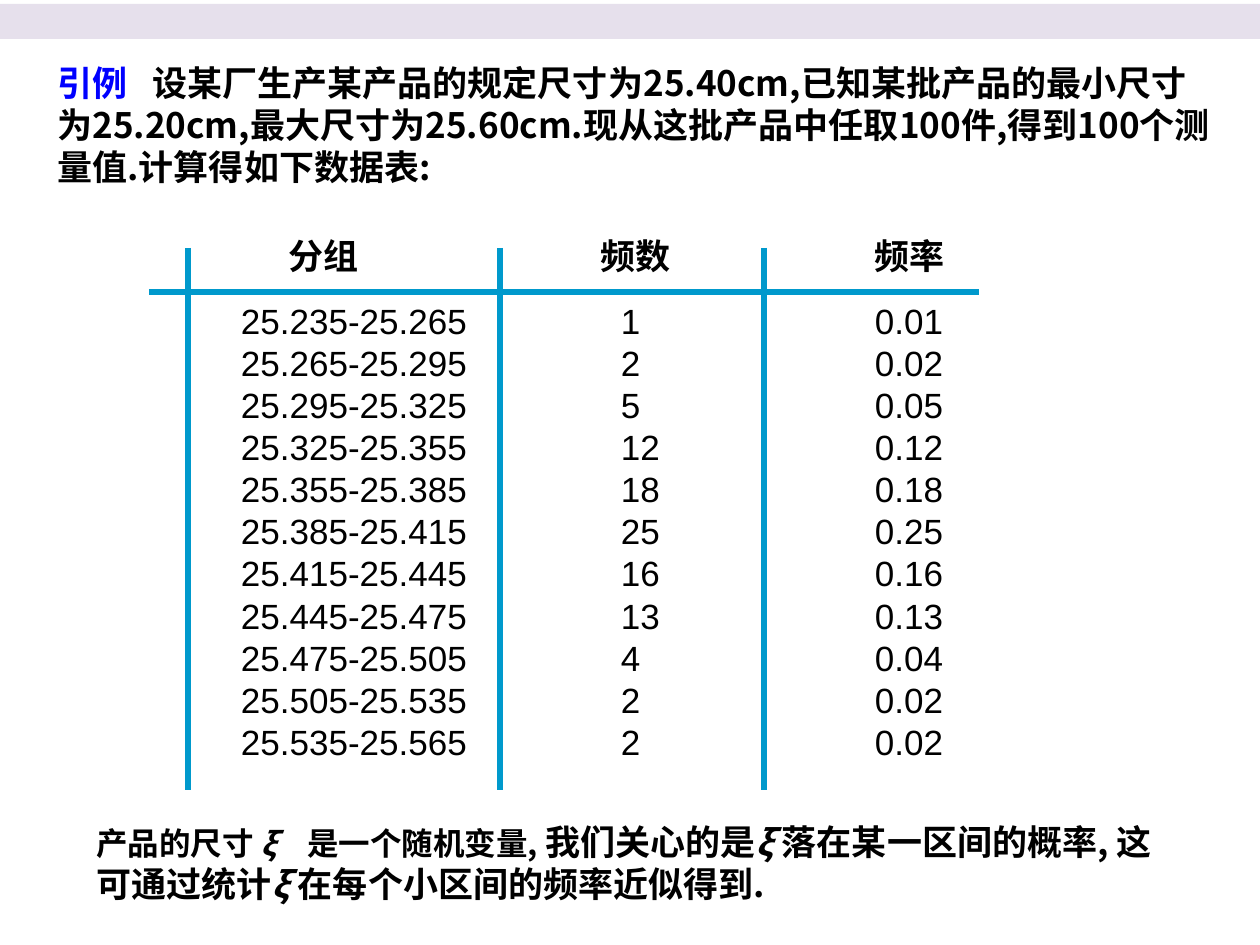
from dataclasses import dataclass

from pptx import Presentation
from pptx.dml.color import RGBColor
from pptx.enum.shapes import MSO_CONNECTOR as Connector, MSO_SHAPE as Shape
from pptx.enum.text import MSO_ANCHOR as Anchor, PP_ALIGN as Align
from pptx.oxml.ns import qn
from pptx.util import Emu, Pt
from lxml.etree import SubElement

PX = 914400 // 126
NO_GRID_STYLE = "{2D5ABB26-0587-4C30-8999-92F81FD0307C}"


@dataclass(frozen=True)
class Theme:
    band: str = "E6E0EC"
    paper: str = "FFFFFF"
    accent: str = "0000FF"
    ink: str = "000000"
    rule: str = "0099CC"
    rule_width: int = 3
    cjk: str = "Noto Sans CJK SC"
    latin: str = "Arial"
    size: int = 20
    small: int = 18
    leading: int = 24


THEME = Theme()

HEADERS = ["", "分组", "频数", "频率"]
COUNTS = [1, 2, 5, 12, 18, 25, 16, 13, 4, 2, 2]
FIRST_BOUND, INTERVAL = 25.235, 0.03

# Column edges, then the left indents of header and data text
EDGES = [149, 188, 500, 764, 979]
HEADER_INDENTS = [0, 101, 101, 111]
DATA_INDENTS = [0, 53, 121, 111]
TABLE_TOP, HEADER_HEIGHT, ROW_HEIGHT = 238, 54, 42
FIRST_ROW_GAP = 8
RULE_TOP, RULE_BOTTOM = 248, 790


def px(value):
    return Emu(value * PX)


def format_run(span, font, size=THEME.size, color=THEME.ink, bold=False, italic=False):
    span.font.name = font
    span.font.size = Pt(size)
    span.font.bold = bold
    span.font.italic = italic
    span.font.color.rgb = RGBColor.from_string(color)
    east_asian = SubElement(span.font._element, qn("a:ea"))
    east_asian.set("typeface", THEME.cjk)


def add_rectangle(page, left, top, width, height, color):
    box = page.shapes.add_shape(Shape.RECTANGLE, px(left), px(top), px(width), px(height))
    box.shadow.inherit = False
    box.fill.solid()
    box.fill.fore_color.rgb = RGBColor.from_string(color)
    box.line.fill.background()
    return box


def add_rule(page, left, top, right, bottom):
    rule = page.shapes.add_connector(Connector.STRAIGHT, px(left), px(top),
                                     px(right), px(bottom))
    rule.line.color.rgb = RGBColor.from_string(THEME.rule)
    rule.line.width = Pt(THEME.rule_width)
    SubElement(rule._element.spPr, qn("a:effectLst"))


def fill_paragraph(box, tab, spans):
    frame = box.text_frame
    frame.word_wrap = True
    frame.vertical_anchor = Anchor.TOP
    para = frame.paragraphs[0]
    para.alignment = Align.LEFT
    para.line_spacing = Pt(THEME.leading)
    tabs = SubElement(para._p.get_or_add_pPr(), qn("a:tabLst"))
    SubElement(tabs, qn("a:tab"), pos=str(px(tab)), algn="l")
    for text, style in spans:
        span = para.add_run()
        span.text = text
        format_run(span, THEME.cjk, bold=True, **style)


def format_cell(cell, text, indent, bold):
    cell.fill.background()
    cell.margin_left = px(indent)
    cell.margin_right = cell.margin_top = cell.margin_bottom = 0
    cell.text_frame.text = text
    para = cell.text_frame.paragraphs[0]
    para.line_spacing = Pt(THEME.leading)
    for span in para.runs:
        format_run(span, THEME.latin, bold=bold)


def frequency_rows():
    total = sum(COUNTS)
    for index, count in enumerate(COUNTS):
        low = FIRST_BOUND + index * INTERVAL
        yield ["", f"{low:.3f}-{low + INTERVAL:.3f}", str(count), f"{count / total:.2f}"]


def add_frequency_table(page):
    rows = [HEADERS, *frequency_rows()]
    heights = [HEADER_HEIGHT] + [ROW_HEIGHT] * len(COUNTS)
    heights[1] += FIRST_ROW_GAP
    frame = page.shapes.add_table(len(rows), len(HEADERS), px(EDGES[0]), px(TABLE_TOP),
                                  px(EDGES[-1] - EDGES[0]), px(sum(heights)))
    table = frame.table
    table.first_row = table.horz_banding = False
    table._tbl.tblPr.find(qn("a:tableStyleId")).text = NO_GRID_STYLE
    for column, start, end in zip(table.columns, EDGES, EDGES[1:]):
        column.width = px(end - start)

    for r, values in enumerate(rows):
        table.rows[r].height = px(heights[r])
        indents = DATA_INDENTS if r else HEADER_INDENTS
        for c, text in enumerate(values):
            cell = table.cell(r, c)
            format_cell(cell, text, indents[c], bold=r == 0)
            cell.vertical_anchor = Anchor.BOTTOM if r == 1 else Anchor.TOP

    # Rules below the header and between columns
    header_bottom = TABLE_TOP + HEADER_HEIGHT
    add_rule(page, EDGES[0], header_bottom, EDGES[-1], header_bottom)
    for edge in EDGES[1:-1]:
        add_rule(page, edge, RULE_TOP, edge, RULE_BOTTOM)


def main():
    deck = Presentation()
    deck.slide_width, deck.slide_height = px(1260), px(945)
    page = deck.slides.add_slide(deck.slide_layouts[6])

    # Top band
    add_rectangle(page, 0, 4, 1260, 35, THEME.band)

    # Opening example
    example = add_rectangle(page, 45, 55, 1186, 140, THEME.paper)
    fill_paragraph(example, 95, [
        ("引例\t", {"color": THEME.accent}),
        ("设某厂生产某产品的规定尺寸为25.40cm,已知某批产品的最小尺寸为25.20cm,"
         "最大尺寸为25.60cm.现从这批产品中任取100件,得到100个测量值."
         "计算得如下数据表:", {}),
    ])

    add_frequency_table(page)

    # Conclusion
    conclusion = page.shapes.add_textbox(px(84), px(814), px(1110), px(97))
    small = {"size": THEME.small}
    variable = ("ξ ", {"italic": True})
    fill_paragraph(conclusion, 211, [
        ("产品的尺寸 ", small),
        ("ξ\t", {"italic": True, **small}),
        ("是一个随机变量, ", small),
        ("我们关心的是", {}),
        variable,
        ("落在某一区间的概率, 这可通过统计", {}),
        variable,
        ("在每个小区间的频率近似得到.", {}),
    ])

    deck.save("out.pptx")


if __name__ == "__main__":
    main()
